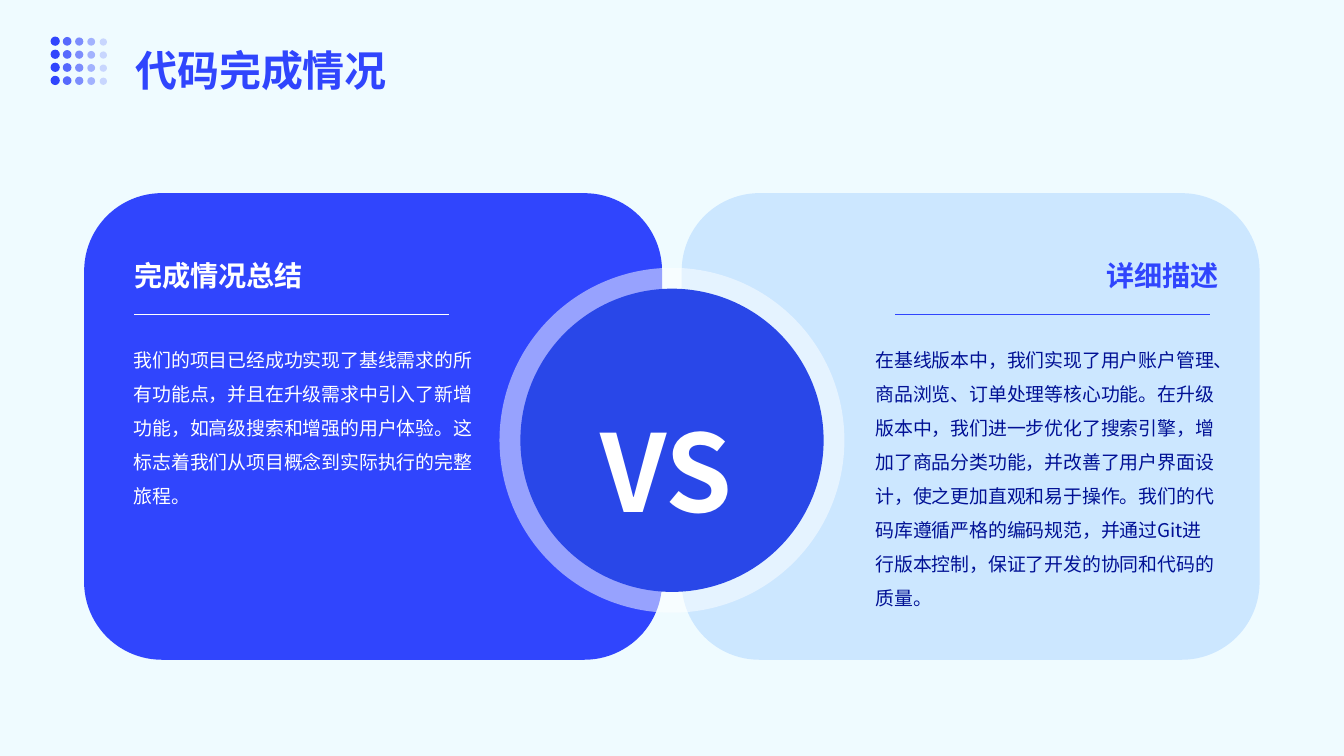
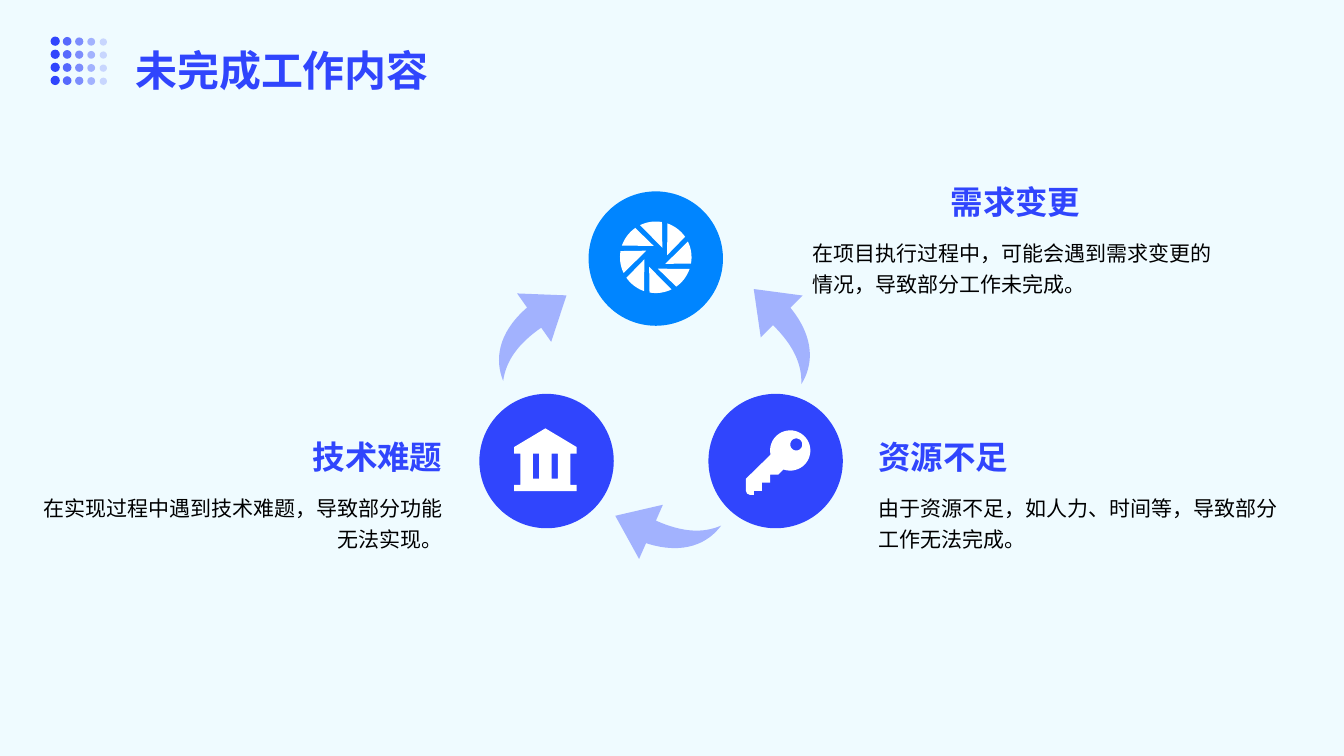
from math import cos, radians, sin

from lxml import etree
from pptx import Presentation
from pptx.dml.color import RGBColor
from pptx.enum.shapes import MSO_CONNECTOR, MSO_SHAPE
from pptx.enum.text import MSO_ANCHOR, PP_ALIGN
from pptx.oxml.ns import qn
from pptx.util import Pt

OVAL, ROUNDED = MSO_SHAPE.OVAL, MSO_SHAPE.ROUNDED_RECTANGLE
STRAIGHT = MSO_CONNECTOR.STRAIGHT
TOP = MSO_ANCHOR.TOP
LEFT, CENTER, RIGHT = PP_ALIGN.LEFT, PP_ALIGN.CENTER, PP_ALIGN.RIGHT
FONT = "Noto Sans CJK SC"
BACKGROUND, BLUE, DEEP, SKY = "EFFBFF", "3045FD", "2947E8", "0085FF"
PALE, NAVY, WHITE, BLACK = "CCE7FF", "011195", "FFFFFF", "000000"
CARD_INSETS = (10.1, 10.1, 4.3, 10.1)
NOTE_INSETS = (8.6, 4.3, 8.6, 4.3)


def color(hex_string):
    return RGBColor.from_string(hex_string)


def arc(center, radius, start, end, steps=36):
    angles = [radians(start + (end - start) * i / steps) for i in range(steps + 1)]
    return [(center[0] + radius * cos(a), center[1] + radius * sin(a)) for a in angles]


def bezier(p0, p1, p2, p3, steps=16):
    points = []
    for i in range(steps + 1):
        t = i / steps
        weights = ((1 - t) ** 3, 3 * t * (1 - t) ** 2, 3 * t * t * (1 - t), t ** 3)
        points.append(tuple(sum(w * p[axis] for w, p in zip(weights, (p0, p1, p2, p3)))
                            for axis in (0, 1)))
    return points


def turn(points, center, angle, flip=1):
    c, s = cos(radians(angle)), sin(radians(angle))
    return [(center[0] + flip * x * c - y * s, center[1] + flip * x * s + y * c)
            for x, y in points]


def box(left, top, right, bottom):
    return [(left, top), (right, top), (right, bottom), (left, bottom)]


class Deck:
    """Holds the shared style and the slide being drawn."""

    def __init__(self):
        self.presentation = Presentation()
        self.presentation.slide_width = Pt(960)
        self.presentation.slide_height = Pt(540)
        self.slide = None

    def new_slide(self, title):
        self.slide = self.presentation.slides.add_slide(self.presentation.slide_layouts[6])
        background = self.slide.background.fill
        background.solid()
        background.fore_color.rgb = color(BACKGROUND)
        for row in range(4):
            for column in range(5):
                self.circle(39.4 + 8.6 * column, 29.4 + 9.35 * row + 0.15 * column,
                            6.6 - 0.35 * column, BLUE, 100 - 20 * column)
        self.text(title, 86.4, 7.2, 787.7, 72, size=30, bold=True, spacing=1.4)

    def paint(self, shape, fill, opacity=100):
        shape.shadow.inherit = False
        shape.line.fill.background()
        shape.fill.solid()
        shape.fill.fore_color.rgb = color(fill)
        if opacity < 100:
            shade = shape.fill._xPr.find(".//" + qn("a:srgbClr"))
            etree.SubElement(shade, qn("a:alpha"), val=str(opacity * 1000))

    def shape(self, kind, left, top, width, height, fill, opacity=100):
        item = self.slide.shapes.add_shape(kind, Pt(left), Pt(top), Pt(width), Pt(height))
        self.paint(item, fill, opacity)

    def circle(self, x, y, diameter, fill, opacity=100):
        self.shape(OVAL, x - diameter / 2, y - diameter / 2, diameter, diameter, fill, opacity)

    def outline(self, contours, fill, opacity=100):
        contours = [[(Pt(x), Pt(y)) for x, y in contour] for contour in contours]
        builder = self.slide.shapes.build_freeform(*contours[0][0])
        for number, contour in enumerate(contours):
            if number:
                builder.move_to(*contour[0])
            builder.add_line_segments(contour[1:], close=True)
        self.paint(builder.convert_to_shape(), fill, opacity)

    def rule(self, left, right, y, stroke):
        line = self.slide.shapes.add_connector(STRAIGHT, Pt(left), Pt(y), Pt(right), Pt(y))
        line.line.color.rgb = color(stroke)
        line.line.width = Pt(0.75)
        etree.SubElement(line._element.spPr, qn("a:effectLst"))

    def text(self, words, left, top, width, height, size, fill=BLUE, bold=False,
             align=LEFT, spacing=1.5, insets=CARD_INSETS):
        frame = self.slide.shapes.add_textbox(Pt(left), Pt(top), Pt(width), Pt(height)).text_frame
        sides = ("margin_left", "margin_top", "margin_right", "margin_bottom")
        layout = dict(zip(sides, map(Pt, insets)), word_wrap=True, vertical_anchor=TOP)
        paragraph = frame.paragraphs[0]
        run = paragraph.add_run()
        run.text = words
        for target, values in (
            (frame, layout),
            (paragraph, {"alignment": align, "line_spacing": spacing}),
            (run.font, {"size": Pt(size), "bold": bold, "name": FONT}),
        ):
            for name, value in values.items():
                setattr(target, name, value)
        run.font.color.rgb = color(fill)
        etree.SubElement(run.font._element, qn("a:ea"), typeface=FONT)

    def note(self, heading, words, left, top, align, heading_align):
        self.text(heading, left, top, 307.4, 44, size=23.2, bold=True,
                  align=heading_align, spacing=1.2, insets=NOTE_INSETS)
        self.text(words, left, top + 43.9, 307.4, 55.4, size=15, fill=BLACK,
                  align=align, spacing=1.2, insets=NOTE_INSETS)


def comparison(deck):
    deck.new_slide("代码完成情况")
    for left, fill in ((486.9, PALE), (60.1, BLUE)):
        deck.shape(ROUNDED, left, 138, 412.8, 333.3, fill)
    deck.circle(480, 314.5, 246.4, WHITE, 50)
    deck.circle(480, 314.5, 216.6, DEEP)
    deck.text("VS", 384.5, 233.3, 177, 163.4, size=76.5, fill=WHITE, bold=True, align=CENTER)
    deck.text("完成情况总结", 85.7, 162.7, 327, 52, size=20.1, fill=WHITE, bold=True)
    deck.text("详细描述", 503.3, 162.7, 371.5, 52, size=20.1, bold=True, align=RIGHT)
    for left, stroke in ((95.8, WHITE), (639.4, BLUE)):
        deck.rule(left, left + 224.8, 224.6, stroke)
    deck.text("我们的项目已经成功实现了基线需求的所有功能点，并且在升级需求中引入了新增功能，"
              "如高级搜索和增强的用户体验。这标志着我们从项目概念到实际执行的完整旅程。",
              85.4, 231.1, 257, 140, size=13.5, fill=WHITE)
    deck.text("在基线版本中，我们实现了用户账户管理、商品浏览、订单处理等核心功能。在升级版本中，"
              "我们进一步优化了搜索引擎，增加了商品分类功能，并改善了用户界面设计，使之更加直观和易于操作。"
              "我们的代码库遵循严格的编码规范，并通过Git进行版本控制，保证了开发的协同和代码的质量。",
              615.3, 231.1, 258.5, 213, size=13.5, fill=NAVY)


def aperture_icon(center):
    blade = [(6.5, -9.5)] + [(x * 0.72, y * 0.72) for x, y in arc((0, 0), 35.5, -80, -116, 8)]
    blade[0] = (4.7, -6.8)
    return [turn(blade, center, 45 * i) for i in range(8)]


def bank_icon(left, top):
    roof = [(0, 13.4), (22.4, 0), (44.8, 13.4), (44.8, 18), (0, 18)]
    columns = [box(x, 18, x + 9, 36) for x in (4.5, 17.9, 31.3)]
    parts = [roof, *columns, box(4.5, 36, 40.3, 40.4), box(0, 40.4, 44.8, 44.8)]
    return [turn(part, (left, top), 0) for part in parts]


def key_icon(center):
    shaft = [(-31.7, 20.2), (-31.7, 28.8), (-30.8, 30.8), (-28.8, 31.7), (-25.9, 31.7),
             (-25.9, 28.8), (-20.2, 28.8), (-20.2, 23), (-14.4, 23), (-14.4, 17.3), (-8.6, 17.3)]
    body = arc((0, 0), 14.4, 110, -192) + shaft
    return [turn(part, center, 0) for part in (body, arc((4.3, -4.3), 4.3, 0, 360))]


def cycle_arrow():
    neck, tail = (7.7, -10.4), (-36.4, 22.7)
    head = [(7.7, -22.7), (35.7, -1.3), (7.7, 19.6)]
    return ([neck] + head + bezier((7.7, 7.2), (-12.5, 7.1), (-26.6, 12.1), tail)
            + bezier(tail, (-33, 7.6), (-20.7, -7.5), neck))


def unfinished_work(deck):
    deck.new_slide("未完成工作内容")
    for x, y, fill in ((468.4, 184.7, SKY), (390.4, 329.3, BLUE), (554, 329.3, BLUE)):
        deck.circle(x, y, 96, fill)
    for center, angle, flip in (((376.2, 232.6), -35.1, 1), ((472.7, 381.6), 203.7, 1),
                                ((562.7, 232.6), 45, -1)):
        deck.outline([turn(cycle_arrow(), center, angle, flip)], BLUE, 40)
    for icon in (aperture_icon((468.4, 183.8)), bank_icon(367.2, 306), key_icon((564.5, 321.8))):
        deck.outline(icon, WHITE)
    deck.note("需求变更", "在项目执行过程中，可能会遇到需求变更的情况，导致部分工作未完成。",
              571.7, 120.2, LEFT, CENTER)
    deck.note("资源不足", "由于资源不足，如人力、时间等，导致部分工作无法完成。",
              618.8, 302.4, LEFT, LEFT)
    deck.note("技术难题", "在实现过程中遇到技术难题，导致部分功能无法实现。",
              17.2, 302.4, RIGHT, RIGHT)


def main():
    deck = Deck()
    comparison(deck)
    unfinished_work(deck)
    deck.presentation.save("out.pptx")


if __name__ == "__main__":
    main()
